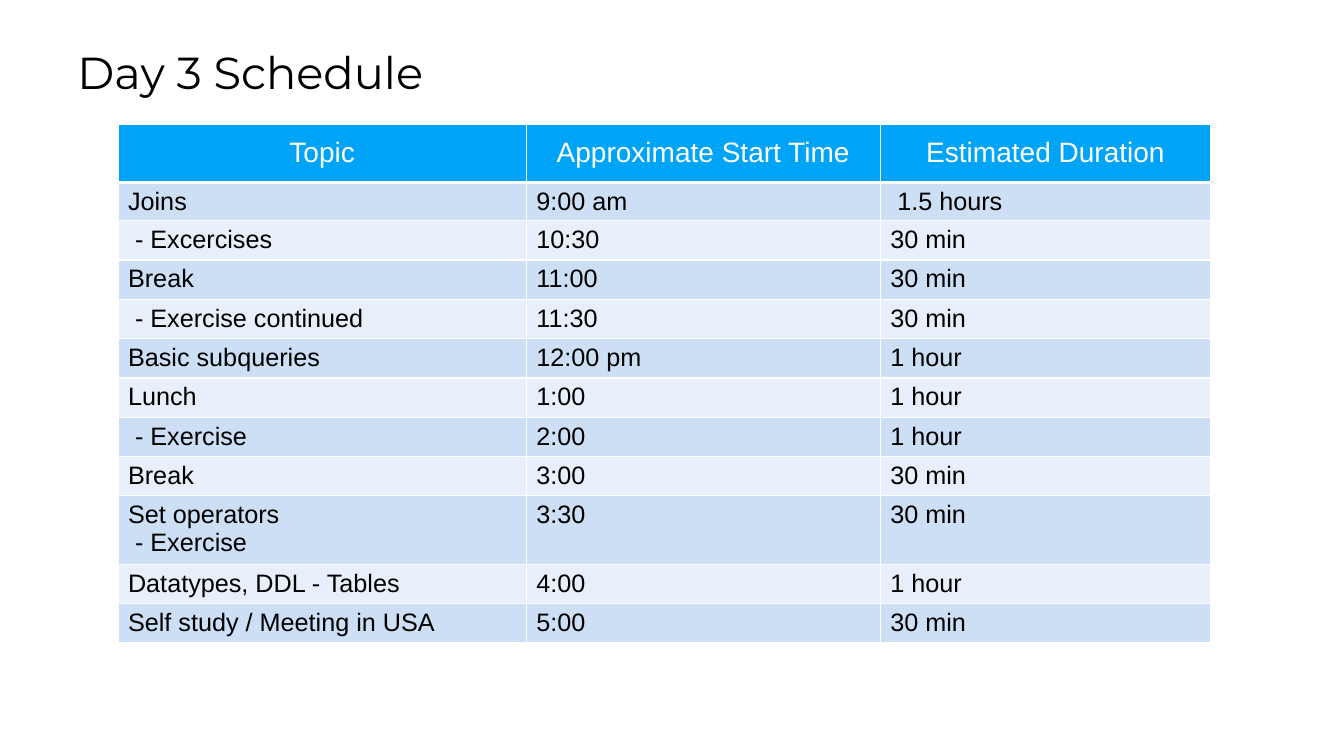
from dataclasses import dataclass

from lxml.etree import SubElement
from pptx import Presentation
from pptx.dml.color import RGBColor as RGB
from pptx.enum.text import MSO_ANCHOR as ANCHOR, PP_ALIGN as ALIGN
from pptx.oxml.ns import qn
from pptx.util import Inches, Pt


@dataclass(frozen=True)
class Theme:
    black: str = "000000"
    white: str = "FFFFFF"
    header: str = "00A4F6"
    bands: tuple = ("CCDFF4", "E7F0FA")
    title_font: str = "Montserrat"
    table_font: str = "Arial"
    title_size: int = 32
    header_size: int = 20
    body_size: int = 18
    thin: int = 1
    thick: int = 3


THEME = Theme()
COLUMN_WIDTHS = (4.05, 3.51, 3.28)
HEADINGS = ("Topic", "Approximate Start Time", "Estimated Duration")
HEADER_HEIGHT = 0.58
FIRST_HEIGHT = 0.37
LINE_HEIGHT = 0.27
ROW_HEIGHT = 0.39
SCHEDULE = (
    ("Joins", "9:00 am", " 1.5 hours"),
    (" - Excercises", "10:30", "30 min"),
    ("Break", "11:00", "30 min"),
    (" - Exercise continued", "11:30", "30 min"),
    ("Basic subqueries", "12:00 pm", "1 hour"),
    ("Lunch", "1:00", "1 hour"),
    (" - Exercise", "2:00", "1 hour"),
    ("Break", "3:00", "30 min"),
    ("Set operators\n - Exercise", "3:30", "30 min"),
    ("Datatypes, DDL - Tables", "4:00", "1 hour"),
    ("Self study / Meeting in USA", "5:00", "30 min"),
)


def write_text(tf, text, font, size, color, align=ALIGN.LEFT):
    for i, line in enumerate(text.split("\n")):
        p = tf.add_paragraph() if i else tf.paragraphs[0]
        p.alignment = align
        r = p.add_run()
        r.text = line
        r.font.name = font
        r.font.size = Pt(size)
        r.font.color.rgb = RGB.from_string(color)


def add_title(s, text):
    sp = s.shapes.add_textbox(Inches(0.67), Inches(0.39), Inches(12.03), Inches(0.64))
    tf = sp.text_frame
    tf.word_wrap = True
    tf.vertical_anchor = ANCHOR.MIDDLE
    write_text(tf, text, THEME.title_font, THEME.title_size, THEME.black)


def set_borders(cell, top, bottom):
    tc_pr = cell._tc.get_or_add_tcPr()
    widths = {"L": THEME.thin, "R": THEME.thin, "T": top, "B": bottom}
    for side, width in widths.items():
        ln = SubElement(tc_pr, qn(f"a:ln{side}"), w=str(Pt(width)))
        fill = SubElement(ln, qn("a:solidFill"))
        SubElement(fill, qn("a:srgbClr"), val=THEME.white)


def fill_cell(cell, color):
    cell.fill.solid()
    cell.fill.fore_color.rgb = RGB.from_string(color)


def add_header_cell(cell, text):
    set_borders(cell, THEME.thin, THEME.thick)
    fill_cell(cell, THEME.header)
    cell.vertical_anchor = ANCHOR.MIDDLE
    write_text(cell.text_frame, text, THEME.table_font, THEME.header_size,
               THEME.white, ALIGN.CENTER)


def add_body_cell(cell, text, index):
    set_borders(cell, THEME.thin if index else THEME.thick, THEME.thin)
    fill_cell(cell, THEME.bands[index % 2])
    cell.margin_bottom = Inches(0.03)
    write_text(cell.text_frame, text, THEME.table_font, THEME.body_size, THEME.black)


def row_height(index, topic):
    base = ROW_HEIGHT if index else FIRST_HEIGHT
    return base + LINE_HEIGHT * topic.count("\n")


def add_schedule(s):
    heights = [HEADER_HEIGHT]
    heights += [row_height(i, row[0]) for i, row in enumerate(SCHEDULE)]
    table = s.shapes.add_table(
        len(heights), len(HEADINGS), Inches(1.17), Inches(1.23),
        Inches(sum(COLUMN_WIDTHS)), Inches(sum(heights))).table
    for column, width in zip(table.columns, COLUMN_WIDTHS):
        column.width = Inches(width)
    for row, height in zip(table.rows, heights):
        row.height = Inches(height)
    for c, heading in enumerate(HEADINGS):
        add_header_cell(table.cell(0, c), heading)
    for i, entry in enumerate(SCHEDULE):
        for c, text in enumerate(entry):
            add_body_cell(table.cell(i + 1, c), text, i)


def main():
    prs = Presentation()
    prs.slide_width = Inches(13.33)
    prs.slide_height = Inches(7.5)
    s = prs.slides.add_slide(prs.slide_layouts[6])
    add_title(s, "Day 3 Schedule")
    add_schedule(s)
    prs.save("out.pptx")


main()
